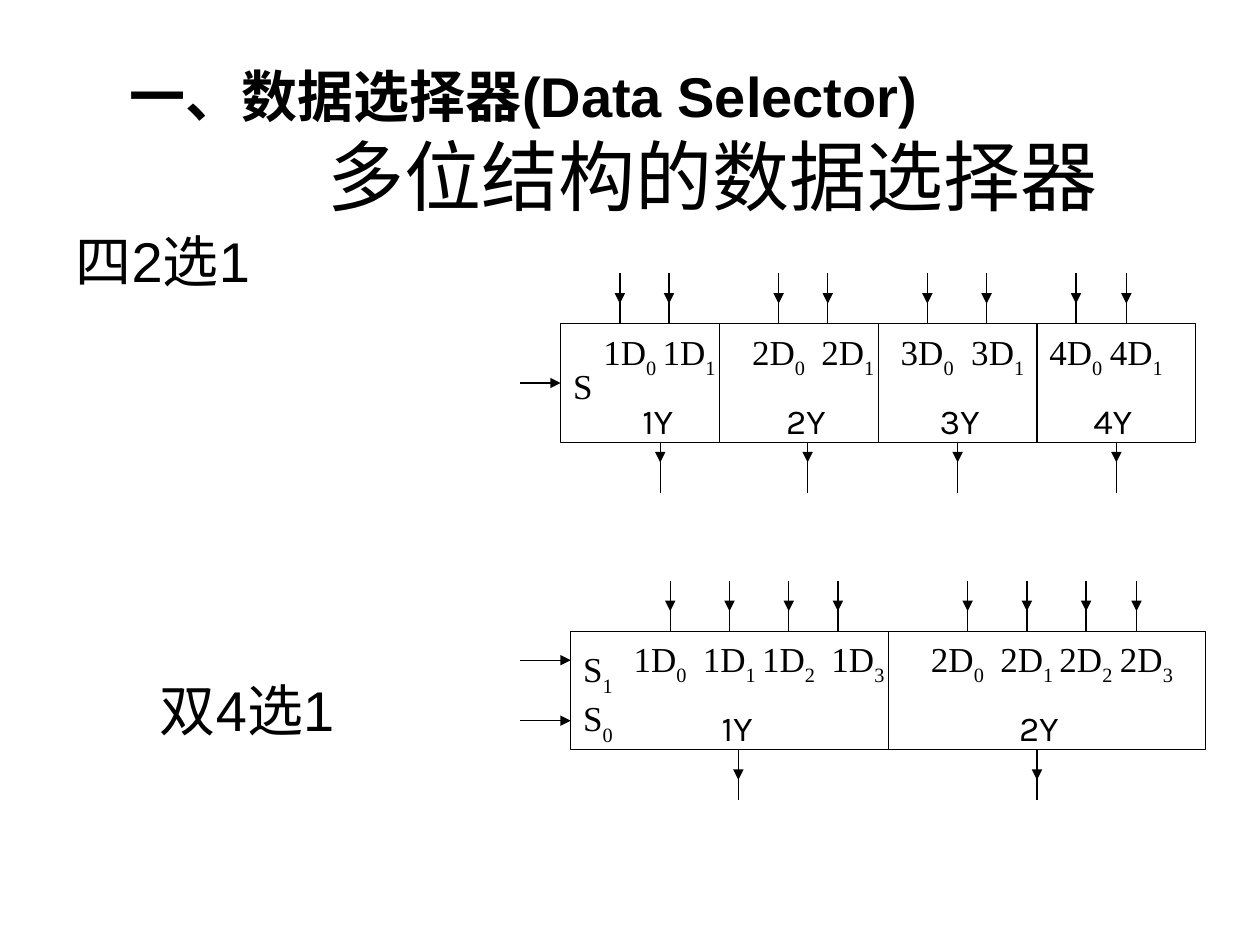
from dataclasses import dataclass

from lxml.etree import SubElement
from pptx import Presentation
from pptx.dml.color import RGBColor
from pptx.enum.shapes import MSO_CONNECTOR, MSO_SHAPE
from pptx.enum.text import MSO_ANCHOR, MSO_AUTO_SIZE as AutoSize, PP_ALIGN
from pptx.oxml.ns import qn
from pptx.util import Emu, Pt

EMU_PER_PX = 9144  # 100 px to the inch


@dataclass(frozen=True)
class Theme:
    ink: RGBColor = RGBColor(0, 0, 0)
    sans: str = "Arial"
    serif: str = "Times New Roman"
    output: str = "Karla"
    title: int = 44
    heading: int = 32
    label: int = 20
    line: float = 0.75


@dataclass(frozen=True)
class Pin:
    """A terminal: text and subscript, label corner, and where its wire runs."""
    text: str
    sub: str
    label: int
    wire: int


@dataclass(frozen=True)
class Selector:
    left: int
    top: int
    inputs: list[Pin]
    outputs: list[Pin]
    selects: list[Pin]  # label and wire are heights here
    output_tip: int     # arrow tip below the block
    split: bool         # each half divided once more


THEME = Theme()
HALF, HEIGHT, WIRE, HEAD = 252, 94, 40, 8
SELECT_START = 413
INPUT_WIDTH, OUTPUT_WIDTH, SELECT_WIDTH = 65, 56, 48  # room for one line each


def px(value: int) -> Emu:
    return Emu(value * EMU_PER_PX)


def style(span, size: int, name: str, bold: bool = False) -> None:
    span.font.size, span.font.name, span.font.bold = Pt(size), name, bold
    span.font.color.rgb = THEME.ink


def write(box, text: str, size: int, name: str, bold: bool = False) -> None:
    box.text_frame.text = text
    style(box.text_frame.paragraphs[0].runs[0], size, name, bold)


def place(box, left: int, top: int, width: int, height: int) -> None:
    box.left, box.top, box.width, box.height = map(px, (left, top, width, height))


def add_text(shapes, area: tuple, text: str, size: int, name: str,
             bold: bool = False, wrap: bool = False):
    box = shapes.add_textbox(*map(px, area))
    write(box, text, size, name, bold)
    box.text_frame.word_wrap = wrap
    box.text_frame.auto_size = AutoSize.NONE if wrap else AutoSize.SHAPE_TO_FIT_TEXT
    return box


def add_label(shapes, pin: Pin, left: int, top: int, width: int) -> None:
    box = add_text(shapes, (left, top, width, 50 if pin.sub else 44),
                   pin.text, THEME.label, THEME.serif)
    if pin.sub:
        span = box.text_frame.paragraphs[0].add_run()
        span.text = pin.sub
        style(span, THEME.label, THEME.serif)
        span.font._element.set("baseline", "-30000")


def add_line(shapes, x1: int, y1: int, x2: int, y2: int, arrow: bool = False):
    line = shapes.add_connector(MSO_CONNECTOR.STRAIGHT, *map(px, (x1, y1, x2, y2)))
    line.line.color.rgb = THEME.ink
    line.line.width = Pt(THEME.line)
    if arrow:
        SubElement(line.line._get_or_add_ln(), qn("a:tailEnd"), type="triangle")
    SubElement(line._element.spPr, qn("a:effectLst"))
    return line


def add_wire(shapes, x: int, top: int, tip: int) -> None:
    """A vertical wire with an arrowhead part of the way down."""
    add_line(shapes, x, top, x, top + WIRE)
    add_line(shapes, x, tip - HEAD, x, tip, arrow=True)


def add_block(shapes, left: int, top: int):
    block = shapes.add_shape(MSO_SHAPE.RECTANGLE, *map(px, (left, top, HALF, HEIGHT)))
    block.shadow.inherit = False
    block.fill.background()
    block.line.color.rgb = THEME.ink
    block.line.width = Pt(THEME.line)
    return block


def add_selector(page, part: Selector) -> None:
    shapes = page.shapes.add_group_shape().shapes
    top, bottom = part.top, part.top + HEIGHT

    # Blocks and dividers
    blocks = [add_block(shapes, part.left + i * HALF, top) for i in range(2)]
    if part.split:
        for i, block in enumerate(blocks):
            middle = part.left + i * HALF + HALF // 2
            divider = add_line(shapes, middle, top, middle, bottom)
            divider.begin_connect(block, 0)
            divider.end_connect(block, 2)

    # Terminals
    for pin in part.inputs:
        add_label(shapes, pin, pin.label, top, INPUT_WIDTH)
        add_wire(shapes, pin.wire, top - WIRE, top - 16)
    for pin in part.outputs:
        add_text(shapes, (pin.label, top + 55, OUTPUT_WIDTH, 44),
                 pin.text, THEME.label, THEME.output)
        add_wire(shapes, pin.wire, bottom, bottom + part.output_tip)
    for pin in part.selects:
        add_label(shapes, pin, part.left, pin.label, SELECT_WIDTH)
        arrow = add_line(shapes, SELECT_START, pin.wire, part.left, pin.wire, arrow=True)
        if pin.wire == top + HEIGHT // 2:
            arrow.end_connect(blocks[0], 1)


def input_pins(per_channel: int, spots: list[tuple[int, int]]) -> list[Pin]:
    return [Pin(f"{i // per_channel + 1}D", str(i % per_channel), *spot)
            for i, spot in enumerate(spots)]


def output_pins(spots: list[tuple[int, int]]) -> list[Pin]:
    return [Pin(f"{i}Y", "", *spot) for i, spot in enumerate(spots, 1)]


QUAD_TWO = Selector(
    left=445, top=257, output_tip=16, split=True,
    inputs=input_pins(2, [(469, 492), (516, 531), (587, 618), (642, 657),
                          (705, 736), (761, 783), (823, 854), (871, 894)]),
    outputs=output_pins([(500, 524), (614, 641), (736, 760), (858, 886)]),
    selects=[Pin("S", "", 284, 304)])

DUAL_FOUR = Selector(
    left=453, top=501, output_tip=24, split=False,
    inputs=input_pins(4, [(493, 532), (548, 579), (595, 626), (650, 665),
                          (729, 768), (784, 815), (831, 862), (879, 902)]),
    outputs=output_pins([(563, 586), (799, 823)]),
    selects=[Pin("S", "1", 509, 524), Pin("S", "0", 548, 572)])


def main() -> None:
    deck = Presentation()
    deck.slide_width, deck.slide_height = px(1000), px(750)
    page = deck.slides.add_slide(deck.slide_layouts[1])

    # Title and first caption
    title, body = page.shapes.title, page.placeholders[1]
    place(title, 153, 60, 825, 157)
    write(title, "多位结构的数据选择器", THEME.title, THEME.sans)
    title.text_frame.vertical_anchor = MSO_ANCHOR.MIDDLE
    title.text_frame.paragraphs[0].alignment = PP_ALIGN.CENTER
    place(body, 50, 175, 246, 70)
    write(body, "四2选1", THEME.heading, THEME.sans)
    para = body.text_frame.paragraphs[0]
    para.space_before = Pt(0)
    SubElement(para._p.get_or_add_pPr(), qn("a:buNone"))
    for box in (title, body):
        box.text_frame.auto_size = AutoSize.NONE

    # Diagrams
    for part in (DUAL_FOUR, QUAD_TWO):
        add_selector(page, part)

    # Second caption and section heading
    add_text(page.shapes, (117, 531, 226, 64), "双4选1", THEME.heading, THEME.sans, wrap=True)
    add_text(page.shapes, (93, 44, 656, 64), "一、数据选择器(Data Selector)",
             THEME.heading, THEME.sans, bold=True)
    deck.save("out.pptx")


if __name__ == "__main__":
    main()
